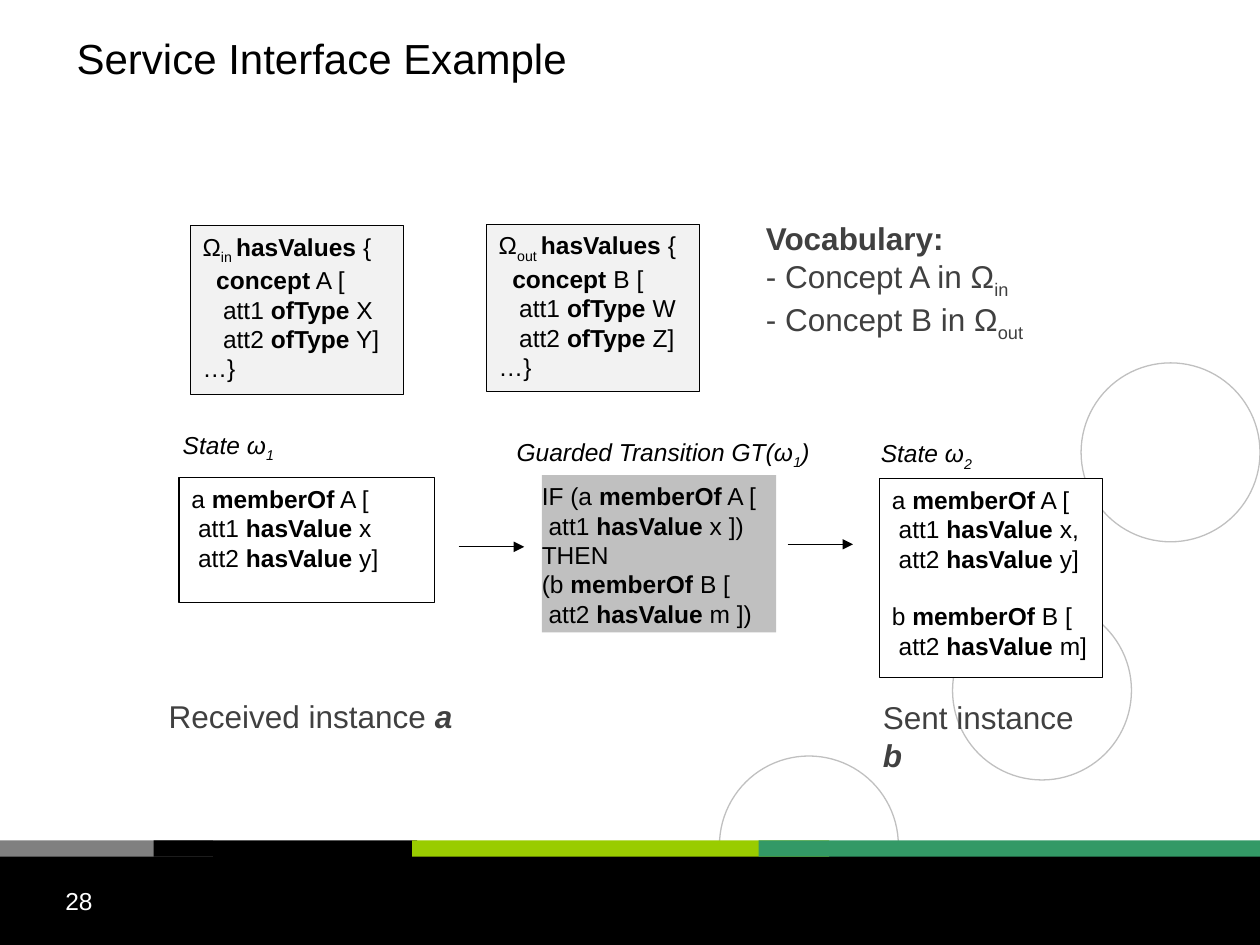
"""Build the Service Interface Example slide."""
from lxml.etree import SubElement
from pptx import Presentation
from pptx.dml.color import RGBColor
from pptx.enum.shapes import MSO_CONNECTOR, MSO_SHAPE
from pptx.enum.text import MSO_ANCHOR, MSO_AUTO_SIZE, PP_ALIGN
from pptx.oxml.ns import qn
from pptx.util import Inches, Pt

COLORS = {
    "black": "000000", "white": "FFFFFF", "silver": "C0C0C0", "gray": "808080",
    "dark": "404040", "lime": "99CC00", "green": "339966",
}
CIRCLES = [(5.71, 6), (7.56, 4.77), (8.58, 2.88)]
CIRCLE = 1.42
FOOTER = (0, 6.75, 10, 0.75)
STRIPES = [(0, 1.69, "gray"), (1.22, 2.09, "black"), (3.27, 3.31, "lime"), (6.02, 3.98, "green")]
STRIPE_TOP, STRIPE_HIGH = 6.67, 0.13
ARROWS = [(3.64, 4.34), (6.25, 4.32)]
ARROW = 0.52

# Asterisks enclose bold, tildes enclose subscript, a leading + adds a line of space.
VOCAB = "Ω~{0} ~*hasValues *{{\n*  concept* {1} [\n   att1 *ofType* {2}\n   att2 *ofType* {3}]\n…}}"
MEMBER = "a *memberOf* A [\n att1 *hasValue *x{0}\n att2 *hasValue *y]"
GUARD = "IF (a *memberOf* A [\n att1 *hasValue *x ])\nTHEN\n(b *memberOf* B [\n att2 *hasValue *m ])"
SENT = MEMBER.format(",") + "\n+b *memberOf* B [\n att2 *hasValue *m]"

PALE = {"fill": "silver", "alpha": 20, "line": "black"}
STATE = {"fill": "white", "line": "black"}
LABEL = {"pad": (0, 0), "italic": True}
NOTE = {"size": 18, "color": "dark", "fit": True}
BOXES = [
    ((0.51, 0, 7.83, 0.92), "Service Interface Example", {"size": 24, "anchor": MSO_ANCHOR.MIDDLE}),
    ((1.51, 1.79, 1.69, 1.34), VOCAB.format("in", "A", "X", "Y"), PALE),
    ((3.86, 1.78, 1.69, 1.33), VOCAB.format("out", "B", "W", "Z"), PALE),
    ((1.42, 3.79, 2.03, 0.99), MEMBER.format(""), STATE),
    ((6.98, 3.8, 1.77, 1.58), SENT, STATE),
    ((4.3, 3.77, 1.86, 1.25), GUARD, {"fill": "silver", "pad": (0, 0.05)}),
    ((1.45, 3.41, 1.05, 0.32), "State ω~1~", LABEL),
    ((4.1, 3.47, 2.69, 0.23), "Guarded Transition GT(ω~1~)", LABEL),
    ((6.99, 3.48, 1.35, 0.23), "State ω~2~", LABEL),
    ((5.98, 1.69, 2.31, 1.08), "*Vocabulary:*\n- Concept A in Ω~in~\n- Concept B in Ω~out~", NOTE),
    ((1.24, 5.48, 2.45, 0.4), "Received instance *a*", NOTE | {"slant": True}),
    ((6.91, 5.49, 1.93, 0.4), "Sent instance *b*", NOTE | {"slant": True}),
    ((0.42, 6.98, 2.33, 0.52), "28", {"color": "white"}),
]


def color(name):
    """Return the named colour."""
    return RGBColor.from_string(COLORS[name])


def draw(slide, kind, place, fill=None, line=None, alpha=None):
    """Add a preset shape with its fill and outline."""
    shape = slide.shapes.add_shape(kind, *map(Inches, place))
    shape.shadow.inherit = False
    if fill:
        shape.fill.solid()
        shape.fill.fore_color.rgb = color(fill)
    else:
        shape.fill.background()
    if alpha:
        tint = next(shape.fill._xPr.iter(qn("a:srgbClr")))
        SubElement(tint, qn("a:alpha")).set("val", str(alpha * 1000))
    if line:
        shape.line.color.rgb = color(line)
        shape.line.width = Pt(0.75)
    else:
        shape.line.fill.background()
    return shape


def add_run(para, text, bold, sub, style):
    """Add one run in the style of its box."""
    run = para.add_run()
    run.text = text
    look = {
        "name": "Arial",
        "size": Pt(style.get("size", 14)),
        "bold": bold,
        "italic": style.get("italic", False) or (bold and style.get("slant", False)),
    }
    for key, value in look.items():
        setattr(run.font, key, value)
    run.font.color.rgb = color(style.get("color", "black"))
    if sub:
        run._r.get_or_add_rPr().set("baseline", "-25000")


def write(shape, text, style):
    """Set the text of a box from its marked lines."""
    frame = shape.text_frame
    side, top = map(Inches, style.get("pad", (0.1, 0.05)))
    fit = style.get("fit", False)
    look = {
        "margin_left": side, "margin_right": side, "margin_top": top, "margin_bottom": top,
        "vertical_anchor": style.get("anchor", MSO_ANCHOR.TOP),
        "word_wrap": not fit,
        "auto_size": MSO_AUTO_SIZE.SHAPE_TO_FIT_TEXT if fit else MSO_AUTO_SIZE.NONE,
    }
    for key, value in look.items():
        setattr(frame, key, value)
    for row, line in enumerate(text.split("\n")):
        para = frame.add_paragraph() if row else frame.paragraphs[0]
        para.alignment = PP_ALIGN.LEFT
        if line.startswith("+"):
            para.space_before = Pt(16)
        for i, part in enumerate(line.removeprefix("+").split("*")):
            for j, piece in enumerate(part.split("~")):
                if piece:
                    add_run(para, piece, i % 2 == 1, j % 2 == 1, style)


def add_arrow(slide, left, top):
    """Add a level arrow that points right."""
    ends = map(Inches, (left, top, left + ARROW, top))
    arrow = slide.shapes.add_connector(MSO_CONNECTOR.STRAIGHT, *ends)
    arrow.line.color.rgb = color("black")
    arrow.line.width = Pt(0.75)
    SubElement(arrow.line._get_or_add_ln(), qn("a:tailEnd")).set("type", "triangle")
    SubElement(arrow._element.spPr, qn("a:effectLst"))


def main():
    """Build and save the slide."""
    deck = Presentation()
    deck.slide_width, deck.slide_height = Inches(10), Inches(7.5)
    slide = deck.slides.add_slide(deck.slide_layouts[6])
    for left, top in CIRCLES:
        draw(slide, MSO_SHAPE.OVAL, (left, top, CIRCLE, CIRCLE), line="silver")
    draw(slide, MSO_SHAPE.RECTANGLE, FOOTER, "black")
    for left, wide, fill in STRIPES:
        draw(slide, MSO_SHAPE.RECTANGLE, (left, STRIPE_TOP, wide, STRIPE_HIGH), fill)
    for place, text, style in BOXES:
        if "fill" in style:
            look = {key: style.get(key) for key in ("fill", "line", "alpha")}
            box = draw(slide, MSO_SHAPE.RECTANGLE, place, **look)
        else:
            box = slide.shapes.add_textbox(*map(Inches, place))
        write(box, text, style)
    for left, top in ARROWS:
        add_arrow(slide, left, top)
    deck.save("out.pptx")


if __name__ == "__main__":
    main()
